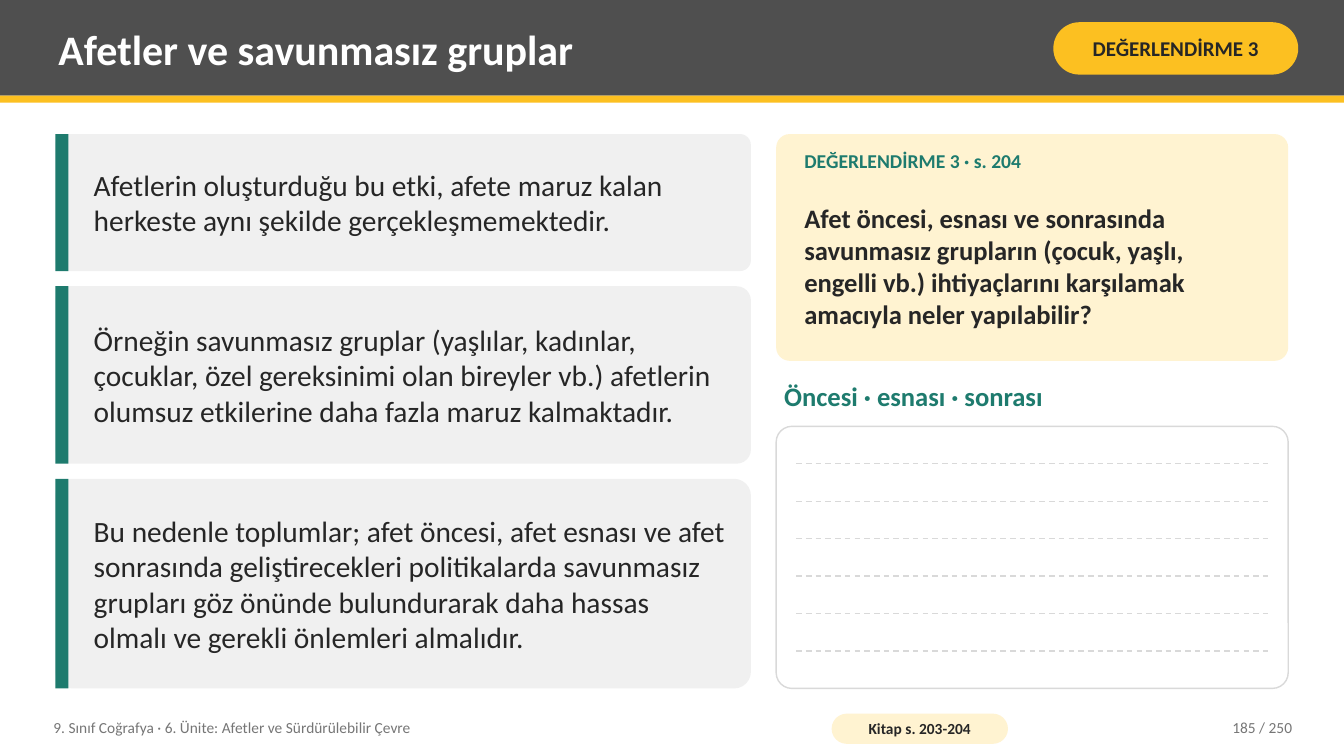
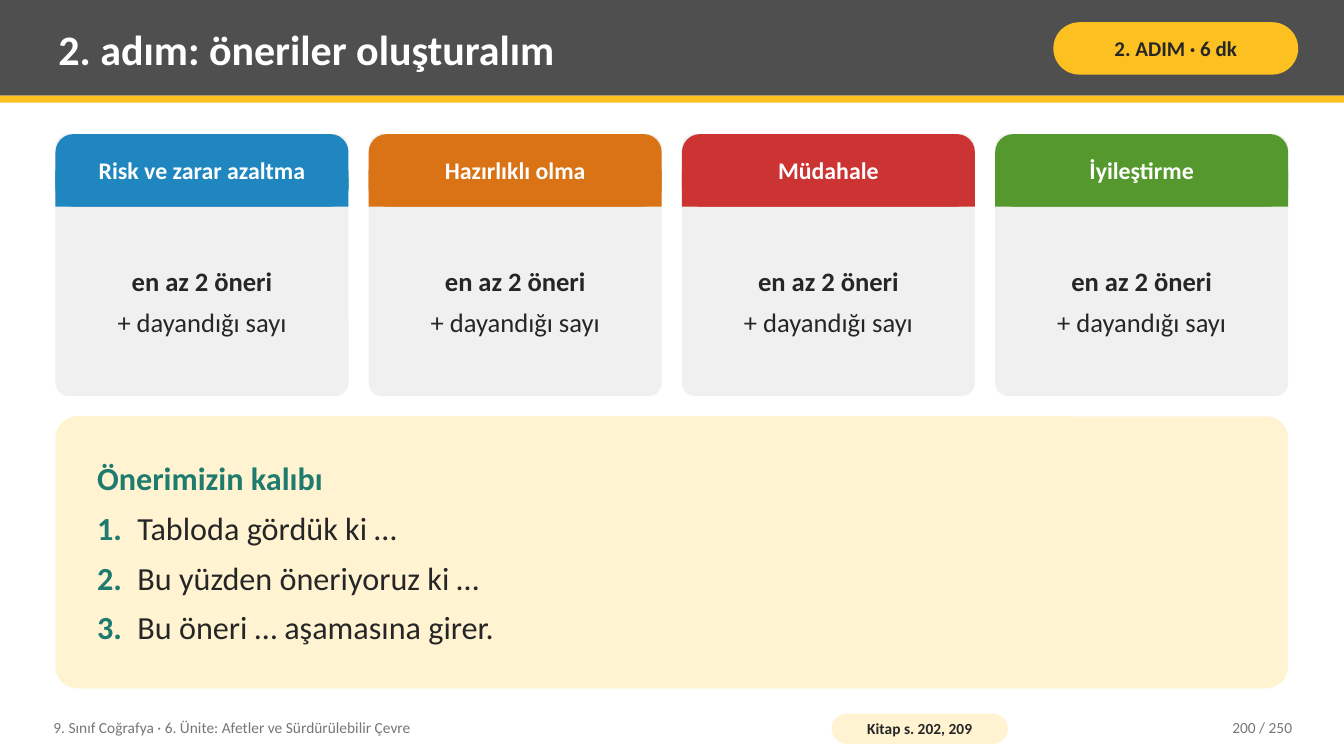
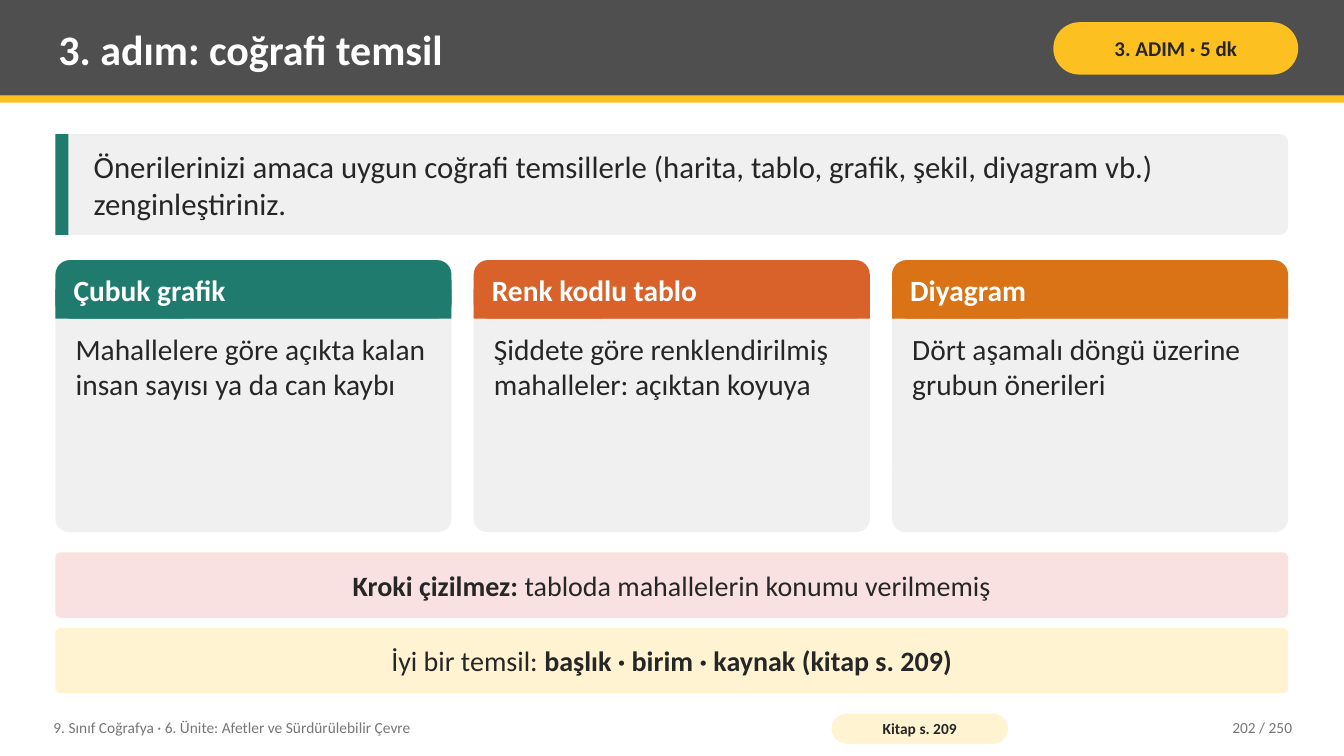
from dataclasses import dataclass
from typing import NamedTuple, Optional, Sequence, Union

from lxml.etree import SubElement
from pptx import Presentation
from pptx.dml.color import RGBColor
from pptx.enum.dml import MSO_LINE
from pptx.enum.shapes import MSO_CONNECTOR, MSO_SHAPE
from pptx.enum.text import MSO_ANCHOR as Anchor, PP_ALIGN as Align
from pptx.oxml.ns import qn
from pptx.util import Pt


@dataclass(frozen=True)
class Theme:
    font: str = "Calibri"
    white: str = "FFFFFF"
    ink: str = "262626"
    charcoal: str = "4F4F4F"
    muted: str = "767676"
    rule: str = "D9D9D9"
    panel: str = "F0F0F0"
    amber: str = "FCC021"
    cream: str = "FFF3D1"
    rose: str = "F9E1E1"
    teal: str = "1E7B6E"
    blue: str = "1F86BF"
    orange: str = "D97316"
    red: str = "CC3333"
    green: str = "55992E"
    rust: str = "D9622B"
    title_size: float = 30
    pattern_size: float = 23
    lead_size: float = 22
    body_size: float = 21
    note_size: float = 20
    prompt_size: float = 19
    phase_size: float = 17
    badge_size: float = 15
    label_size: float = 14
    footer_size: float = 11


THEME = Theme()
PAGE_WIDTH, PAGE_HEIGHT = 960, 540
LEFT, TOP, CONTENT_WIDTH = 39.6, 95.76, 880.56
BOTTOM = 491.76
TEXT_INSETS = (5.76, 2.88)
UNIT = "9. Sınıf Coğrafya · 6. Ünite: Afetler ve Sürdürülebilir Çevre"


class Box(NamedTuple):
    left: float
    top: float
    width: float
    height: float

    @property
    def bottom(self) -> float:
        return self.top + self.height


class Run(NamedTuple):
    text: str
    bold: Optional[bool] = None
    color: Optional[str] = None


Paragraph = Union[str, Sequence[Run]]


class Page(NamedTuple):
    title: str
    badge: str
    source: str
    number: int


class Card(NamedTuple):
    heading: str
    color: str
    body: Sequence[Paragraph]


class CardStyle(NamedTuple):
    header_height: float
    heading_size: float
    body_size: float
    align: Align
    body_anchor: Anchor


def points(box: Box) -> list:
    return [Pt(length) for length in box]


def write(shape, *paragraphs: Paragraph, size: float, color: str = THEME.ink,
          bold: bool = False, align: Align = Align.LEFT,
          anchor: Anchor = Anchor.MIDDLE, insets=TEXT_INSETS,
          space_after: float = 0, hanging: float = 0) -> None:
    """Fill a shape with text; hanging indents every paragraph after the first."""
    frame = shape.text_frame
    frame.word_wrap = True
    frame.vertical_anchor = anchor
    frame.margin_left = frame.margin_right = Pt(insets[0])
    frame.margin_top = frame.margin_bottom = Pt(insets[1])
    for index, content in enumerate(paragraphs):
        paragraph = frame.add_paragraph() if index else frame.paragraphs[0]
        paragraph.alignment = align
        if index < len(paragraphs) - 1:
            paragraph.space_after = Pt(space_after)
        if index and hanging:
            properties = paragraph._p.get_or_add_pPr()
            properties.set("marL", str(Pt(hanging)))
            properties.set("indent", str(-Pt(hanging)))
        for part in [Run(content)] if isinstance(content, str) else content:
            run = paragraph.add_run()
            run.text = part.text
            run.font.name = THEME.font
            run.font.size = Pt(size)
            run.font.bold = bold if part.bold is None else part.bold
            run.font.color.rgb = RGBColor.from_string(part.color or color)


def add_text(slide, box: Box, *paragraphs: Paragraph, **text_format) -> None:
    write(slide.shapes.add_textbox(*points(box)), *paragraphs, **text_format)


def add_block(slide, box: Box, fill: str, corner: float = 0,
              outline: Optional[str] = None):
    """Draw a filled rectangle, rounded when corner is given."""
    kind = MSO_SHAPE.ROUNDED_RECTANGLE if corner else MSO_SHAPE.RECTANGLE
    block = slide.shapes.add_shape(kind, *points(box))
    if corner:
        block.adjustments[0] = corner
    block.shadow.inherit = False
    block.fill.solid()
    block.fill.fore_color.rgb = RGBColor.from_string(fill)
    if outline:
        block.line.color.rgb = RGBColor.from_string(outline)
        block.line.width = Pt(1)
    else:
        block.line.fill.background()
    return block


def add_dashed_rule(slide, left: float, right: float, y: float) -> None:
    rule = slide.shapes.add_connector(
        MSO_CONNECTOR.STRAIGHT, Pt(left), Pt(y), Pt(right), Pt(y))
    rule.line.color.rgb = RGBColor.from_string(THEME.rule)
    rule.line.width = Pt(1)
    rule.line.dash_style = MSO_LINE.DASH
    SubElement(rule._element.spPr, qn("a:effectLst"))


def add_page(deck, page: Page):
    """Add a slide with the shared title band and footer."""
    slide = deck.slides.add_slide(deck.slide_layouts[6])
    add_block(slide, Box(0, 0, PAGE_WIDTH, 68.4), THEME.charcoal)
    add_block(slide, Box(0, 68.4, PAGE_WIDTH, 5.04), THEME.amber)
    add_text(slide, Box(36, 5.04, 702, 59.04), page.title,
             size=THEME.title_size, color=THEME.white, bold=True)
    badge = add_block(slide, Box(752.4, 15.84, 174.96, 37.44), THEME.amber, 0.5)
    write(badge, page.badge, size=THEME.badge_size, bold=True,
          align=Align.CENTER, insets=(3.6, 1.44))
    add_text(slide, Box(32.4, 506.88, 547.2, 25.92), UNIT,
             size=THEME.footer_size, color=THEME.muted)
    source = add_block(slide, Box(594, 509.76, 126, 21.6), THEME.cream, 0.5)
    write(source, page.source, size=THEME.footer_size, bold=True,
          align=Align.CENTER, insets=(2.88, 0))
    add_text(slide, Box(813.6, 506.88, 115.2, 25.92), f"{page.number} / 250",
             size=THEME.footer_size, color=THEME.muted, align=Align.RIGHT)
    return slide


def add_statement(slide, box: Box, statement: str, size: float) -> None:
    """Draw a grey panel with a teal edge and one sentence."""
    add_block(slide, box, THEME.panel, 0.08)
    add_block(slide, box._replace(width=9.36), THEME.teal)
    add_text(slide, box._replace(left=box.left + 21.6, width=box.width - 32.4),
             statement, size=size)


def add_card(slide, box: Box, card: Card, style: CardStyle) -> None:
    header = box._replace(height=style.header_height)
    half = header.height / 2
    add_block(slide, box, THEME.panel, 0.05)
    add_block(slide, header, card.color, 0.25)
    add_block(slide, header._replace(top=box.top + half, height=half), card.color)
    add_text(slide, header._replace(left=box.left + 7.2, width=box.width - 14.4),
             card.heading, size=style.heading_size, color=THEME.white,
             bold=True, align=style.align)
    body = Box(box.left + 8.64, header.bottom + 5.76, box.width - 17.28,
               box.height - header.height - 11.52)
    add_text(slide, body, *card.body, size=style.body_size, align=style.align,
             anchor=style.body_anchor, space_after=6)


def add_card_row(slide, cards: Sequence[Card], style: CardStyle, *,
                 top: float, height: float, gap: float) -> None:
    width = (CONTENT_WIDTH - gap * (len(cards) - 1)) / len(cards)
    for index, card in enumerate(cards):
        left = LEFT + index * (width + gap)
        add_card(slide, Box(left, top, width, height), card, style)


def build_vulnerable_groups(deck) -> None:
    slide = add_page(deck, Page("Afetler ve savunmasız gruplar",
                                "DEĞERLENDİRME 3", "Kitap s. 203-204", 185))
    statements = (
        (97.92, "Afetlerin oluşturduğu bu etki, afete maruz kalan herkeste aynı "
                "şekilde gerçekleşmemektedir."),
        (126.72, "Örneğin savunmasız gruplar (yaşlılar, kadınlar, çocuklar, özel "
                 "gereksinimi olan bireyler vb.) afetlerin olumsuz etkilerine daha "
                 "fazla maruz kalmaktadır."),
        (149.76, "Bu nedenle toplumlar; afet öncesi, afet esnası ve afet "
                 "sonrasında geliştirecekleri politikalarda savunmasız grupları "
                 "göz önünde bulundurarak daha hassas olmalı ve gerekli önlemleri "
                 "almalıdır."),
    )
    top = TOP
    for height, statement in statements:
        add_statement(slide, Box(LEFT, top, 496.8, height), statement,
                      THEME.body_size)
        top += height + 10.8

    question = Box(554.4, TOP, 365.76, 162)
    inner_left, inner_width = question.left + 14.4, question.width - 28.8
    add_block(slide, question, THEME.cream, 0.06)
    add_text(slide, Box(inner_left, 101.52, inner_width, 25.92),
             "DEĞERLENDİRME 3 · s. 204",
             size=THEME.label_size, color=THEME.teal, bold=True)
    add_text(slide, Box(inner_left, 128.88, inner_width, 121.68),
             "Afet öncesi, esnası ve sonrasında savunmasız grupların (çocuk, "
             "yaşlı, engelli vb.) ihtiyaçlarını karşılamak amacıyla neler "
             "yapılabilir?", size=THEME.prompt_size, bold=True)

    add_text(slide, question._replace(top=268.56, height=32.4),
             "Öncesi · esnası · sonrası", size=THEME.prompt_size,
             color=THEME.teal, bold=True, anchor=Anchor.TOP)
    answer = question._replace(top=304.56, height=187.2)
    add_block(slide, answer, THEME.white, 0.06, outline=THEME.rule)
    rule_count = 6
    for number in range(1, rule_count + 1):
        add_dashed_rule(slide, inner_left, inner_left + inner_width,
                        answer.top + number * answer.height / (rule_count + 1))


def build_suggestions(deck) -> None:
    slide = add_page(deck, Page("2. adım: öneriler oluşturalım",
                                "2. ADIM · 6 dk", "Kitap s. 202, 209", 200))
    task = ([Run("en az 2 öneri", bold=True)], "+ dayandığı sayı")
    phases = (
        Card("Risk ve zarar azaltma", THEME.blue, task),
        Card("Hazırlıklı olma", THEME.orange, task),
        Card("Müdahale", THEME.red, task),
        Card("İyileştirme", THEME.green, task),
    )
    style = CardStyle(51.84, THEME.phase_size, THEME.prompt_size,
                      Align.CENTER, Anchor.MIDDLE)
    add_card_row(slide, phases, style, top=TOP, height=187.2, gap=14.4)

    sentences = ("Tabloda gördük ki …", "Bu yüzden öneriyoruz ki …",
                 "Bu öneri … aşamasına girer.")
    steps = [[Run(f"{number}.\t", True, THEME.teal), Run(sentence)]
             for number, sentence in enumerate(sentences, 1)]
    pattern_top = 297.36
    pattern = add_block(
        slide, Box(LEFT, pattern_top, CONTENT_WIDTH, BOTTOM - pattern_top),
        THEME.cream, 0.08)
    write(pattern, [Run("Önerimizin kalıbı", True, THEME.teal)], *steps,
          size=THEME.pattern_size, insets=(25.2, 5.76), space_after=8,
          hanging=28.8)


def build_representations(deck) -> None:
    slide = add_page(deck, Page("3. adım: coğrafi temsil",
                                "3. ADIM · 5 dk", "Kitap s. 209", 202))
    add_statement(slide, Box(LEFT, TOP, CONTENT_WIDTH, 72),
                  "Önerilerinizi amaca uygun coğrafi temsillerle (harita, tablo, "
                  "grafik, şekil, diyagram vb.) zenginleştiriniz.",
                  THEME.lead_size)
    representations = (
        Card("Çubuk grafik", THEME.teal,
             ["Mahallelere göre açıkta kalan insan sayısı ya da can kaybı"]),
        Card("Renk kodlu tablo", THEME.rust,
             ["Şiddete göre renklendirilmiş mahalleler: açıktan koyuya"]),
        Card("Diyagram", THEME.orange,
             ["Dört aşamalı döngü üzerine grubun önerileri"]),
    )
    style = CardStyle(41.76, THEME.body_size, THEME.body_size,
                      Align.LEFT, Anchor.TOP)
    add_card_row(slide, representations, style, top=185.76, height=194.4,
                 gap=15.84)

    notes = (
        (THEME.rose, [Run("Kroki çizilmez:", bold=True),
                      Run(" tabloda mahallelerin konumu verilmemiş")]),
        (THEME.cream, [Run("İyi bir temsil: "),
                       Run("başlık · birim · kaynak (kitap s. 209)", bold=True)]),
    )
    for index, (fill, note) in enumerate(notes):
        strip = add_block(
            slide, Box(LEFT, 394.56 + index * 54, CONTENT_WIDTH, 46.8), fill, 0.08)
        write(strip, note, size=THEME.note_size, align=Align.CENTER,
              insets=(15.84, 5.76))


def main() -> None:
    deck = Presentation()
    deck.slide_width, deck.slide_height = Pt(PAGE_WIDTH), Pt(PAGE_HEIGHT)
    build_vulnerable_groups(deck)
    build_suggestions(deck)
    build_representations(deck)
    deck.save("out.pptx")


if __name__ == "__main__":
    main()
